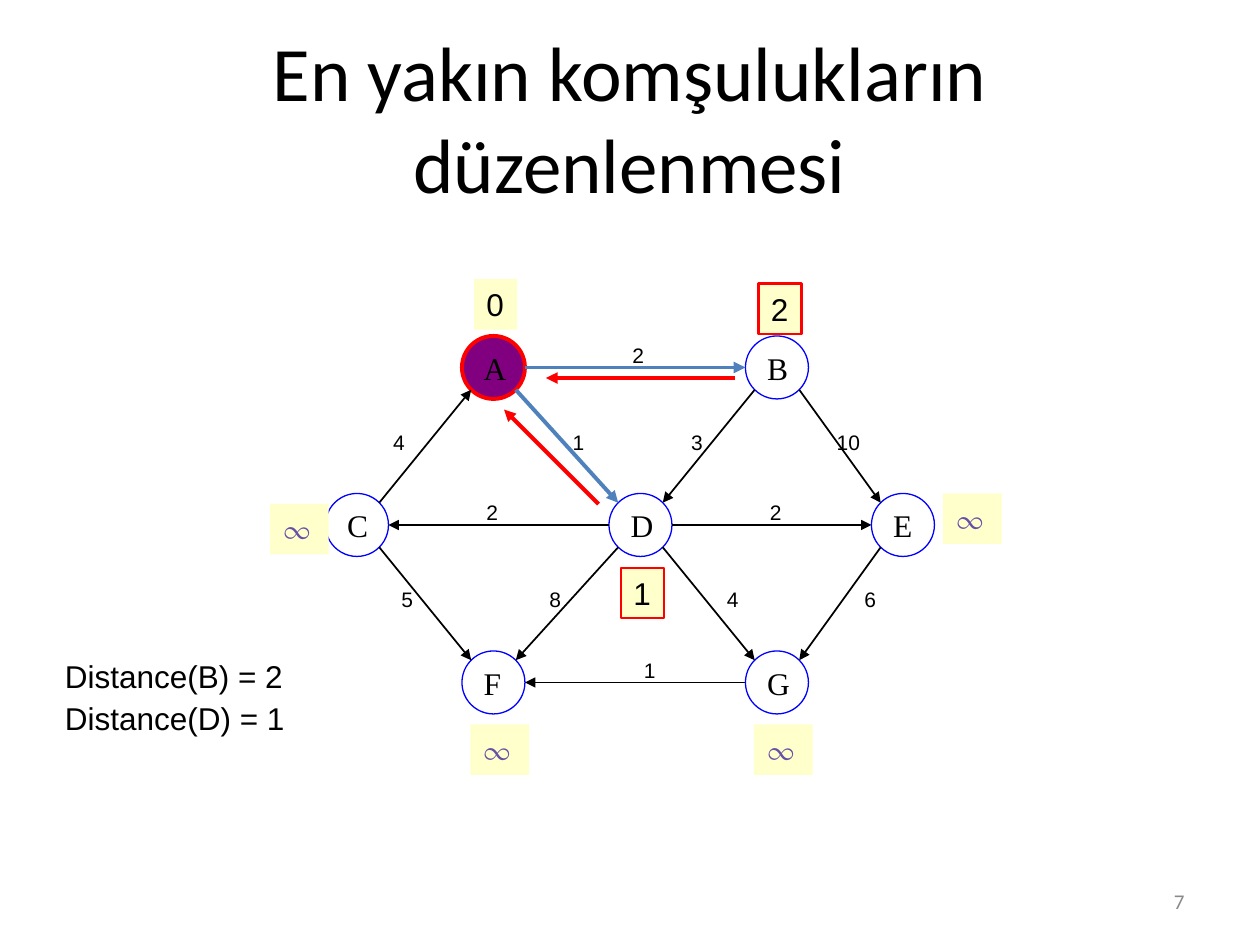
from math import sqrt

from lxml.etree import SubElement
from pptx import Presentation
from pptx.dml.color import RGBColor
from pptx.enum.shapes import MSO_CONNECTOR as Connector, MSO_SHAPE as Shape
from pptx.enum.text import MSO_ANCHOR as Anchor, PP_ALIGN as Align
from pptx.oxml.ns import qn
from pptx.util import Inches, Pt

COLORS = {
    "ink": "000000", "number": "898989", "visited": "800080", "ring": "0000FF",
    "update": "FF0000", "relaxed": "4F81BD", "badge": "FFFFCC", "infinity": "674EA7",
}
COLUMNS, ROWS = 120, 90
RADIUS = 3

# Node centres in grid columns and rows
NODES = {
    "A": (47, 35), "B": (74, 35),
    "C": (34, 50), "D": (61, 50), "E": (86, 50),
    "F": (47, 65), "G": (74, 65),
}
# Start, end, weight, column of the weight
EDGES = [
    ("A", "B", "2", 60.8), ("A", "D", "1", 55.1), ("B", "D", "3", 66.4),
    ("B", "E", "10", 80.8), ("C", "A", "4", 38), ("D", "C", "2", 46.9),
    ("D", "E", "2", 73.9), ("C", "F", "5", 38.8), ("D", "F", "8", 52.9),
    ("D", "G", "4", 69.8), ("E", "G", "6", 82.9), ("G", "F", "1", 61.9),
]
RELAXED = ["AB", "AD"]
# Distance, centre of its badge, whether it was just updated
DISTANCES = [
    ("0", (47.2, 29), False), ("2", (74.3, 29.4), True),
    ("∞", (28.5, 50.4), False), ("∞", (92.6, 49.4), False),
    ("1", (61.2, 56.5), True),
    ("∞", (47.6, 71.4), False), ("∞", (74.6, 71.4), False),
]
BACK_ARROWS = [((57, 48), (48, 39)), ((70, 36), (52, 36))]
RESULTS = ["Distance(B) = 2", "Distance(D) = 1"]


def sign(value):
    return (value > 0) - (value < 0)


class GraphSlide:
    def __init__(self, deck):
        self.page = deck.slides.add_slide(deck.slide_layouts[6])
        self.column = deck.slide_width / COLUMNS
        self.row = deck.slide_height / ROWS

    def place(self, left, top, width, height):
        return [round(left * self.column), round(top * self.row),
                round(width * self.column), round(height * self.row)]

    def color(self, name):
        return RGBColor.from_string(COLORS[name])

    def fill_text(self, shape, text, size, font="Arial", color="ink", align=Align.LEFT,
                  anchor=Anchor.MIDDLE, wrap=False):
        frame = shape.text_frame
        for name, value in {"word_wrap": wrap, "vertical_anchor": anchor}.items():
            setattr(frame, name, value)
        para = frame.paragraphs[0]
        para.alignment = align
        span = para.add_run()
        span.text = text
        for name, value in {"size": Pt(size), "name": font}.items():
            setattr(span.font, name, value)
        span.font.color.rgb = self.color(color)

    def text(self, area, text, size, **style):
        box = self.page.shapes.add_textbox(*self.place(*area))
        self.fill_text(box, text, size, **style)

    def shape(self, kind, center, width, height, fill=None, line=None, weight=1):
        x, y = center
        area = self.place(x - width / 2, y - height / 2, width, height)
        shape = self.page.shapes.add_shape(kind, *area)
        shape.shadow.inherit = False
        for part, name in ((shape.fill, fill), (shape.line.fill, line)):
            if name:
                part.solid()
                part.fore_color.rgb = self.color(name)
            else:
                part.background()
        if line:
            shape.line.width = Pt(weight)
        return shape

    def node(self, name, visited):
        look = (dict(fill="visited", line="update", weight=2.25) if visited
                else dict(line="ring", weight=0.75))
        circle = self.shape(Shape.OVAL, NODES[name], 2 * RADIUS, 2 * RADIUS, **look)
        self.fill_text(circle, name, 18, "Times New Roman")

    def badge(self, distance, center, updated):
        infinite = distance == "∞"
        box = self.shape(Shape.RECTANGLE, center, 5.6 if infinite else 4.1, 4.8,
                         "badge", "update" if updated else None, 1.25)
        look = dict(font="TeX Gyre Pagella", color="infinity") if infinite else {}
        self.fill_text(box, distance, 18, anchor=Anchor.TOP, **look)

    def arrow(self, start, end, color="ink", weight=1):
        ends = [*self.place(*start, 0, 0)[:2], *self.place(*end, 0, 0)[:2]]
        arrow = self.page.shapes.add_connector(Connector.STRAIGHT, *ends)
        arrow.line.color.rgb = self.color(color)
        arrow.line.width = Pt(weight)
        properties = arrow.element.spPr
        SubElement(properties.find(qn("a:ln")), qn("a:tailEnd"), type="triangle")
        SubElement(properties, qn("a:effectLst"))

    def edge(self, start, end, relaxed):
        """Join two circles at their side points or their diagonal points."""
        (x1, y1), (x2, y2) = NODES[start], NODES[end]
        reach = RADIUS if y1 == y2 else RADIUS / sqrt(2)
        dx, dy = reach * sign(x2 - x1), reach * sign(y2 - y1)
        look = ("relaxed", 2.25) if relaxed else ("ink", 1)
        self.arrow((x1 + dx, y1 + dy), (x2 - dx, y2 - dy), *look)

    def weight(self, start, end, value, column):
        y1, y2 = NODES[start][1], NODES[end][1]
        middle = (y1 + y2) / 2 - (1.2 if y1 == y2 else 0.4)
        width = 3.5 if len(value) == 1 else 4.6
        self.text((column - width / 2, middle - 1.8, width, 3.6), value, 12)


def main():
    deck = Presentation()
    deck.slide_width, deck.slide_height = Inches(10), Inches(7.5)
    slide = GraphSlide(deck)

    slide.text((86, 83.4, 28, 4.8), "7", 12, font="Calibri", color="number",
               align=Align.RIGHT, wrap=True)
    slide.text((6, 3.6, 108, 15), "En yakın komşulukların düzenlenmesi", 44,
               font="Calibri", align=Align.CENTER, wrap=True)
    for name in NODES:
        slide.node(name, visited=name == "A")
    for start, end, _, _ in EDGES:
        slide.edge(start, end, start + end in RELAXED)
    for edge in EDGES:
        slide.weight(*edge)
    for distance in DISTANCES:
        slide.badge(*distance)
    for index, result in enumerate(RESULTS):
        slide.text((5, 62 + 4 * index, 25.6, 10.3), result, 18,
                   anchor=Anchor.TOP, wrap=True)
    for start, end in BACK_ARROWS:
        slide.arrow(start, end, "update", 2.25)

    deck.save("out.pptx")


if __name__ == "__main__":
    main()
